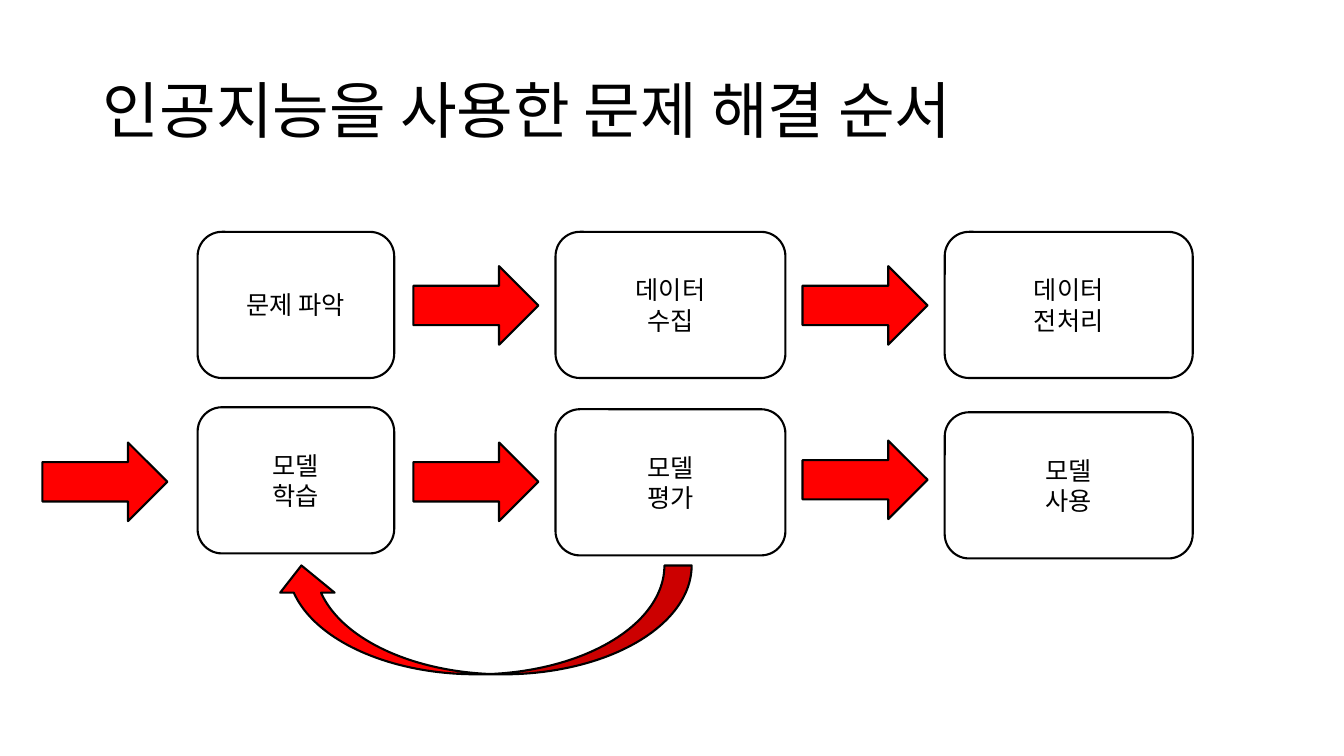
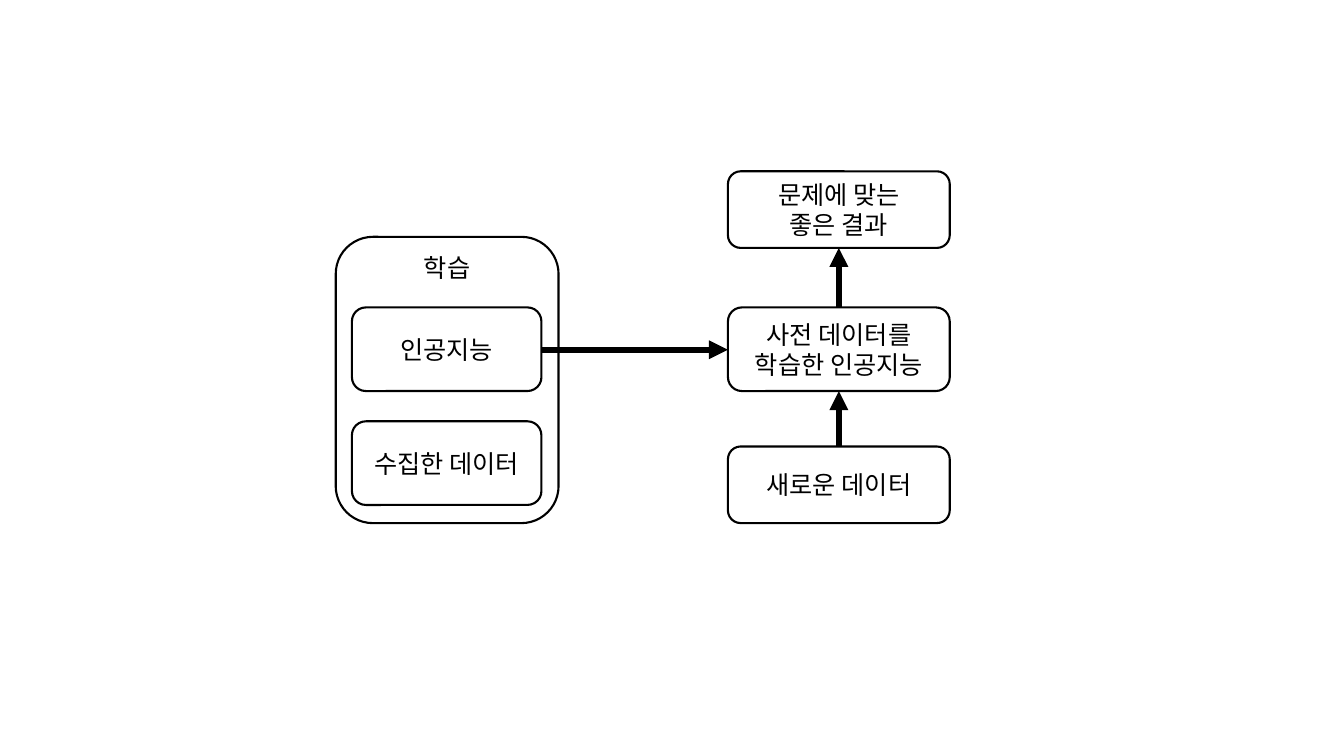
from lxml import etree
from pptx import Presentation
from pptx import util as u
from pptx.dml.color import RGBColor
from pptx.enum import shapes, text
from pptx.oxml.ns import qn

COLORS = {"ink": "000000", "paper": "FFFFFF", "arrow": "FF0000"}
FONT = "Noto Sans CJK KR"
TITLE = {"size": u.Pt(44), "name": FONT}
LABEL = {"size": u.Pt(18), "name": FONT}
OUTLINE = 1.5
LINK = 4.5
KIND = shapes.MSO_SHAPE


def color(name):
    return RGBColor.from_string(COLORS[name])


def style_span(span, formats):
    for key, value in formats.items():
        setattr(span.font, key, value)
    span.font.color.rgb = color("ink")
    span.font._element.get_or_add_latin().addnext(
        etree.Element(qn("a:ea"), typeface=FONT))


def write(frame, lines, formats, align):
    frame.word_wrap = True
    for index, line in enumerate(lines):
        para = frame.paragraphs[0] if index == 0 else frame.add_paragraph()
        para.alignment = align
        span = para.add_run()
        span.text = line
        style_span(span, formats)


def add_figure(page, kind, box, fill):
    figure = page.shapes.add_shape(kind, *map(u.Inches, box))
    figure.shadow.inherit = False
    figure.fill.solid()
    figure.fill.fore_color.rgb = color(fill)
    figure.line.color.rgb = color("ink")
    figure.line.width = u.Pt(OUTLINE)
    return figure


def add_card(page, box, lines, anchor=text.MSO_ANCHOR.MIDDLE):
    card = add_figure(page, KIND.ROUNDED_RECTANGLE, box, "paper")
    card.text_frame.vertical_anchor = anchor
    write(card.text_frame, lines, LABEL, text.PP_ALIGN.CENTER)


def add_link(page, start, end):
    link = page.shapes.add_connector(
        shapes.MSO_CONNECTOR.STRAIGHT, *map(u.Inches, start + end))
    link.line.color.rgb = color("ink")
    link.line.width = u.Pt(LINK)
    etree.SubElement(link.line._get_or_add_ln(), qn("a:tailEnd"), type="triangle")
    etree.SubElement(link._element.spPr, qn("a:effectLst"))


def add_title(page, box, words):
    title = page.shapes.title
    title.left, title.top, title.width, title.height = map(u.Inches, box)
    title.text_frame.vertical_anchor = text.MSO_ANCHOR.MIDDLE
    write(title.text_frame, [words], TITLE, text.PP_ALIGN.LEFT)
    title.text_frame.paragraphs[0].line_spacing = 0.9


def add_steps(page, left, top):
    columns = [(1.54, 1.95), (5.09, 2.28), (8.95, 2.46)]
    arrow_lefts = [0, 3.68, 7.54]
    rows = [
        ([["문제 파악"], ["데이터", "수집"], ["데이터", "전처리"]],
         [0, 0, 0], [None, 0.34, 0.34]),
        ([["모델", "학습"], ["모델", "평가"], ["모델", "사용"]],
         [1.74, 1.76, 1.79], [2.09, 2.09, 2.07]),
    ]
    for labels, card_tops, arrow_tops in rows:
        for (x, width), lines, y in zip(columns, labels, card_tops):
            add_card(page, (left + x, top + y, width, 1.45), lines)
        for x, y in zip(arrow_lefts, arrow_tops):
            if y is not None:
                add_figure(page, KIND.RIGHT_ARROW,
                           (left + x, top + y, 1.24, 0.78), "arrow")
    loop = add_figure(page, KIND.CURVED_UP_ARROW,
                      (left + 2.3, top + 3.31, 4.14, 1.08), "arrow")
    loop._element.spPr.find(qn("a:xfrm")).set("flipH", "1")


def add_training(page, left, top, width, height):
    add_card(page, (left, top, width, height), ["학습"], text.MSO_ANCHOR.TOP)
    for y, label in [(0.7, "인공지능"), (1.83, "수집한 데이터")]:
        add_card(page, (left + 0.16, top + y, 1.88, 0.83), [label])


def add_prediction(page, left, top, width):
    cards = [
        (0, 0.76, ["문제에 맞는", "좋은 결과"]),
        (1.35, 0.83, ["사전 데이터를", "학습한 인공지능"]),
        (2.73, 0.76, ["새로운 데이터"]),
    ]
    for y, height, lines in cards:
        add_card(page, (left, top + y, width, height), lines)
    center = left + width / 2
    for upper, lower in zip(cards, cards[1:]):
        add_link(page, (center, top + lower[0]),
                 (center, top + upper[0] + upper[1]))


def build_process(deck):
    page = deck.slides.add_slide(deck.slide_layouts[5])
    add_title(page, (0.92, 0.4, 11.5, 1.45), "인공지능을 사용한 문제 해결 순서")
    add_steps(page, 0.42, 2.3)


def build_learning(deck):
    page = deck.slides.add_slide(deck.slide_layouts[6])
    add_training(page, 3.33, 2.35, 2.21, 2.84)
    add_prediction(page, 7.22, 1.7, 2.2)
    add_link(page, (5.37, 3.47), (7.22, 3.47))


def main():
    deck = Presentation()
    deck.slide_width, deck.slide_height = u.Inches(13.33), u.Inches(7.5)
    build_process(deck)
    build_learning(deck)
    deck.save("out.pptx")


if __name__ == "__main__":
    main()
